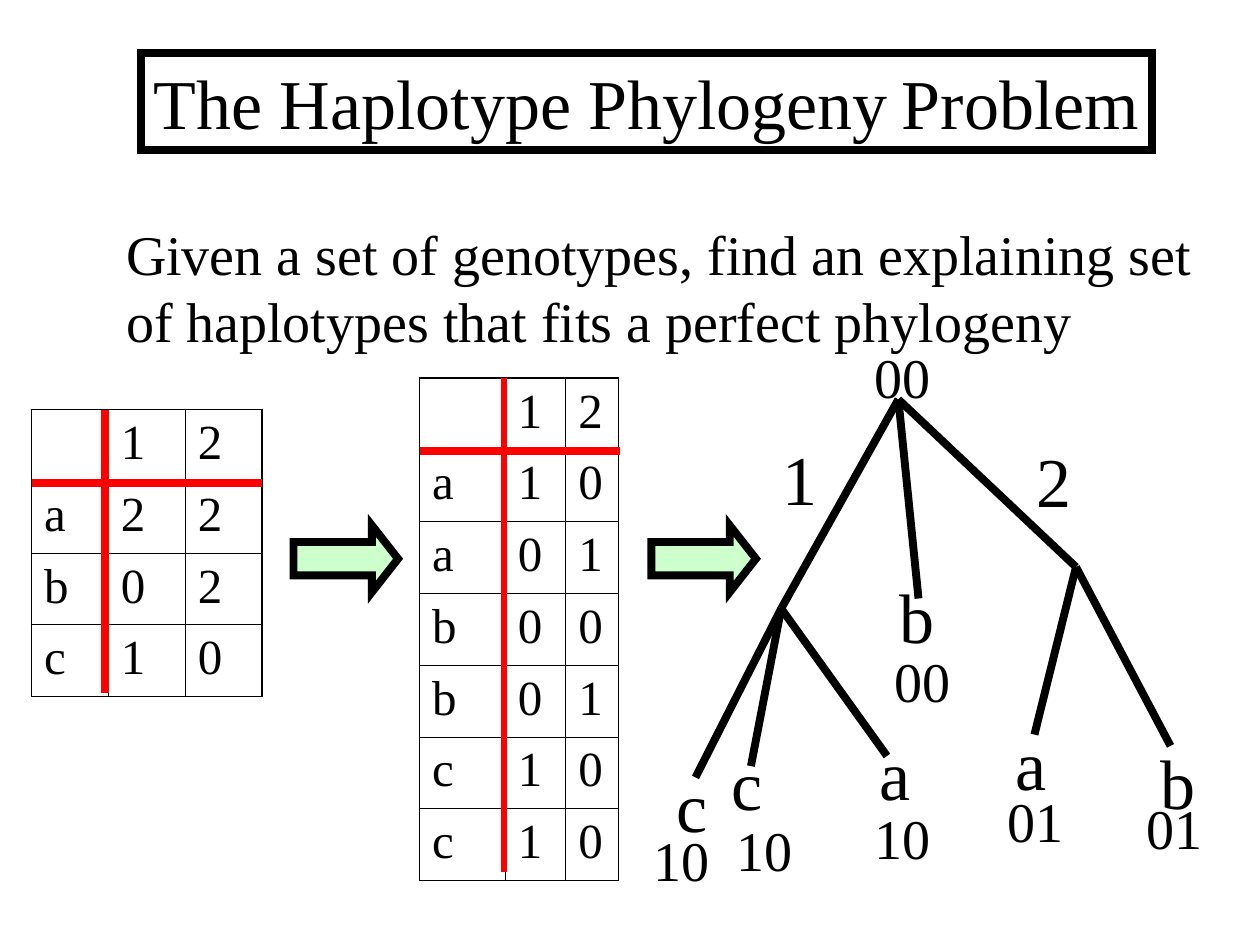
from lxml import etree
from pptx import Presentation
from pptx.dml.color import RGBColor
from pptx.enum.shapes import MSO_CONNECTOR, MSO_SHAPE
from pptx.enum.text import MSO_ANCHOR, MSO_AUTO_SIZE, PP_ALIGN
from pptx.oxml.ns import qn
from pptx.util import Inches, Pt

STRAIGHT = MSO_CONNECTOR.STRAIGHT
RIGHT_ARROW = MSO_SHAPE.RIGHT_ARROW
LEFT, TOP = PP_ALIGN.LEFT, MSO_ANCHOR.TOP
FIT_SHAPE, FIXED = MSO_AUTO_SIZE.SHAPE_TO_FIT_TEXT, MSO_AUTO_SIZE.NONE
FONT = "Times New Roman"
COLORS = {"ink": "000000", "rule": "FF0000", "arrow": "CCFFCC"}
HEAVY = 4.5
ROW_HEIGHT = 0.57

GENOTYPES = [" 12", "a22", "b02", "c10"]
HAPLOTYPES = [" 12", "a10", "a01", "b00", "b01", "c10", "c10"]

ROOT, LEFT_NODE, RIGHT_NODE = (7.13, 3.17), (6.2, 4.83), (8.54, 4.5)
BRANCHES = [
    (ROOT, LEFT_NODE), (ROOT, (7.29, 4.75)), (ROOT, RIGHT_NODE),
    (LEFT_NODE, (5.52, 6.17)), (LEFT_NODE, (5.96, 6.08)), (LEFT_NODE, (7.04, 6)),
    (RIGHT_NODE, (8.21, 5.83)), (RIGHT_NODE, (9.29, 5.92)),
]
# Tree labels: text, left, top
NAMES = [
    ("1", 6.11, 3.41), ("2", 8.13, 3.42), ("c", 5.27, 6), ("c", 5.71, 5.83),
    ("a", 6.88, 5.75), ("b", 7.04, 4.5), ("a", 7.96, 5.67), ("b", 9.11, 5.82),
]
CODES = [
    ("00", 6.84, 2.67), ("10", 5.09, 6.5), ("10", 5.75, 6.42), ("10", 6.84, 6.33),
    ("00", 7, 5.08), ("01", 7.9, 6.19), ("01", 9, 6.25),
]


def rgb(name):
    """Return the named colour."""
    return RGBColor.from_string(COLORS[name])


def add_text(p, text, size, color="ink", before=0):
    """Add one formatted run to a left-aligned paragraph."""
    p.alignment = LEFT
    p.space_before = Pt(before)
    r = p.add_run()
    r.text = text
    r.font.name = FONT
    r.font.size = Pt(size)
    r.font.color.rgb = rgb(color)


def set_frame(sp, auto_size=FIT_SHAPE):
    """Keep text unwrapped at the top of its frame and return the frame."""
    tf = sp.text_frame
    tf.word_wrap = False
    tf.auto_size = auto_size
    tf.vertical_anchor = TOP
    return tf


def set_outline(sp):
    """Give a shape a heavy outline with sharp corners."""
    sp.line.color.rgb = rgb("ink")
    sp.line.width = Pt(HEAVY)
    ln = sp._element.spPr.find(qn("a:ln"))
    etree.SubElement(ln, qn("a:miter"), lim="800000")


def place(sp, left, top, width, height):
    """Move and size a shape."""
    sp.left, sp.top = Inches(left), Inches(top)
    sp.width, sp.height = Inches(width), Inches(height)


def fill_title(sp):
    """Write the framed title."""
    place(sp, 1.12, 0.42, 8.02, 0.77)
    set_outline(sp)
    p = set_frame(sp, FIXED).paragraphs[0]
    for text, size in [("The Haplotype Phylogeny", 40), (" ", 32), ("Problem", 40)]:
        add_text(p, text, size)


def fill_body(sp):
    """Write the problem statement without bullets."""
    place(sp, 0.9, 1.69, 8.77, 1.17)
    tf = set_frame(sp)
    lines = ["Given a set of genotypes, find an explaining set ",
             "of haplotypes that fits a perfect phylogeny"]
    for i, text in enumerate(lines):
        p = tf.add_paragraph() if i else tf.paragraphs[0]
        add_text(p, text, 32)
        pPr = p._p.get_or_add_pPr()
        pPr.set("marL", "0")
        pPr.set("indent", "0")
        etree.SubElement(pPr, qn("a:buNone"))


def add_label(s, text, left, top, size):
    """Add a tree label."""
    width, height = (0.68, 0.64) if size == 32 else (0.5, 0.77)
    sp = s.shapes.add_textbox(Inches(left), Inches(top), Inches(width), Inches(height))
    add_text(set_frame(sp, FIXED).paragraphs[0], text, size)


def add_line(s, start, end, color="ink", width=HEAVY):
    """Add a straight line between two points."""
    line = s.shapes.add_connector(STRAIGHT, *map(Inches, start + end))
    line.line.color.rgb = rgb(color)
    line.line.width = Pt(width)
    etree.SubElement(line._element.spPr, qn("a:effectLst"))


def add_arrow(s, left):
    """Add a block arrow between two stages."""
    sp = s.shapes.add_shape(RIGHT_ARROW, Inches(left), Inches(4.17),
                            Inches(0.83), Inches(0.53))
    sp.adjustments[1] = 0.392
    sp.shadow.inherit = False
    sp.fill.solid()
    sp.fill.fore_color.rgb = rgb("arrow")
    set_outline(sp)


def set_borders(cell, outer):
    """Draw the four cell borders, heavier on the outer sides."""
    tcPr = cell._tc.get_or_add_tcPr()
    for i, side in enumerate("LRTB"):
        width = Pt(1.08 if side in outer else 0.45)
        ln = etree.Element(qn(f"a:ln{side}"), w=str(int(width)))
        fill = etree.SubElement(ln, qn("a:solidFill"))
        etree.SubElement(fill, qn("a:srgbClr"), val=COLORS["ink"])
        tcPr.insert(i, ln)


def add_matrix(s, left, top, widths, rows):
    """Add a table with one character in each cell."""
    last_row, last_col = len(rows) - 1, len(widths) - 1
    table = s.shapes.add_table(
        len(rows), len(widths), Inches(left), Inches(top),
        Inches(sum(widths)), Inches(ROW_HEIGHT * len(rows))).table
    table.first_row = table.horz_banding = False
    for col, width in zip(table.columns, widths):
        col.width = Inches(width)
    for i, row in enumerate(rows):
        table.rows[i].height = Inches(ROW_HEIGHT)
        for j, char in enumerate(row):
            cell = table.cell(i, j)
            cell.fill.background()
            if char.strip():
                add_text(cell.text_frame.paragraphs[0], char, 28, before=7)
            edges = {"L": j == 0, "R": j == last_col, "T": i == 0, "B": i == last_row}
            set_borders(cell, [side for side, outer in edges.items() if outer])


def main():
    """Build the slide."""
    prs = Presentation()
    prs.slide_width, prs.slide_height = Inches(10), Inches(7.5)
    s = prs.slides.add_slide(prs.slide_layouts[1])
    fill_title(s.shapes.title)
    fill_body(s.placeholders[1])

    add_matrix(s, 0.25, 3.25, [0.61] * 3, GENOTYPES)
    add_line(s, (0.83, 3.25), (0.83, 5.5), "rule")
    add_line(s, (0.25, 3.83), (2.08, 3.83), "rule")
    add_matrix(s, 3.33, 3, [0.68, 0.48, 0.42], HAPLOTYPES)
    add_line(s, (4, 3), (4, 6.92), "rule", 3)
    add_line(s, (3.33, 3.58), (4.92, 3.58), "rule")
    for left in (2.33, 5.17):
        add_arrow(s, left)

    for start, end in BRANCHES:
        add_line(s, start, end)
    for labels, size in ((NAMES, 40), (CODES, 32)):
        for text, left, top in labels:
            add_label(s, text, left, top, size)
    prs.save("out.pptx")


main()
